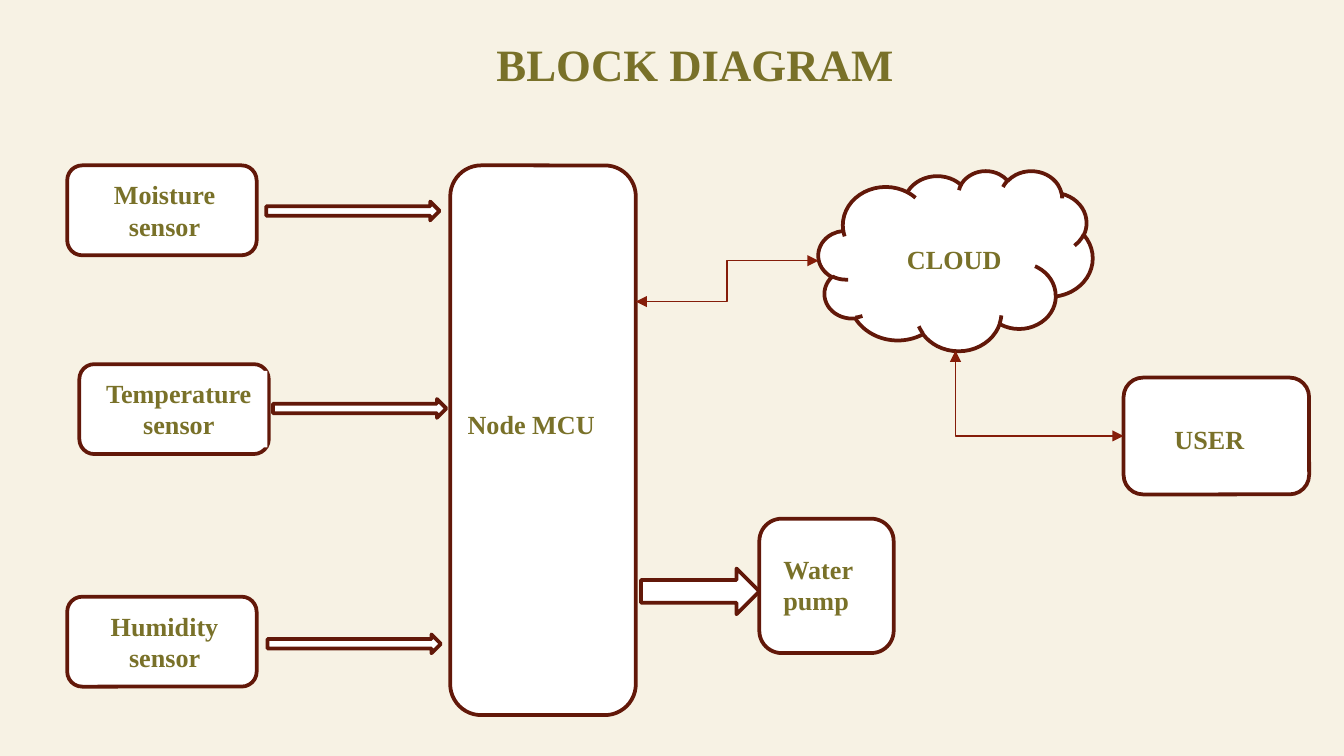
import pptx
import pptx.util
import pptx.dml.color
import pptx.enum.shapes
import pptx.enum.text
import pptx.oxml.ns
from lxml import etree

Pt = pptx.util.Pt
SHAPE = pptx.enum.shapes.MSO_SHAPE
ALIGN = pptx.enum.text.PP_ALIGN
ANCHOR = pptx.enum.text.MSO_ANCHOR
COLORS = {"background": "F7F2E4", "text": "797129", "box": "FFFFFF",
          "outline": "621809", "link": "851D09"}
FONT = "Times New Roman"


def rgb(name):
    return pptx.dml.color.RGBColor.from_string(COLORS[name])


def set_text(sp, text, size, align):
    tf = sp.text_frame
    tf.word_wrap = True
    tf.vertical_anchor = ANCHOR.TOP
    tf.text = text
    for p in tf.paragraphs:
        p.alignment = align
        for r in p.runs:
            r.font.name = FONT
            r.font.size = Pt(size)
            r.font.bold = True
            r.font.color.rgb = rgb("text")


def add_title(s, box, text):
    sp = s.shapes.title
    sp.left, sp.top, sp.width, sp.height = [Pt(v) for v in box]
    set_text(sp, text, 24, ALIGN.CENTER)


def add_outlined(s, kind, box):
    sp = s.shapes.add_shape(kind, *[Pt(v) for v in box])
    sp.shadow.inherit = False
    sp.fill.solid()
    sp.fill.fore_color.rgb = rgb("box")
    sp.line.color.rgb = rgb("outline")
    sp.line.width = Pt(2)
    return sp


def add_block(s, box, label, text, kind=SHAPE.ROUNDED_RECTANGLE,
              align=ALIGN.LEFT, filled=True):
    """Outlined block; the label box is given relative to the block."""
    x, y = box[:2]
    dx, dy, w, h = label
    block = add_outlined(s, kind, box)
    sp = s.shapes.add_textbox(Pt(x + dx), Pt(y + dy), Pt(w), Pt(h))
    if filled:
        sp.fill.solid()
        sp.fill.fore_color.rgb = rgb("box")
    set_text(sp, text, 14, align)
    return block


def add_sensor(s, x, y, text, label_x, label_w, arrow_x, arrow_y):
    """Sensor block with the arrow that leads to the controller."""
    add_block(s, (x, y, 101.5, 48.2), (label_x, 3.6, label_w, 41), text,
              align=ALIGN.CENTER)
    add_outlined(s, SHAPE.RIGHT_ARROW, (x + arrow_x, y + arrow_y, 92.9, 10.1))


def add_link(s, start, end, preset):
    """Elbow line with an arrowhead at both ends."""
    c = s.shapes.add_connector(pptx.enum.shapes.MSO_CONNECTOR.ELBOW,
                               *[Pt(v) for v in start + end])
    c.line.color.rgb = rgb("link")
    c.line.width = Pt(0.75)
    qn = pptx.oxml.ns.qn
    spPr = c._element.spPr
    spPr.find(qn("a:prstGeom")).set("prst", preset)
    ln = spPr.find(qn("a:ln"))
    for tag in ("a:headEnd", "a:tailEnd"):
        etree.SubElement(ln, qn(tag), type="triangle")
    etree.SubElement(spPr, qn("a:effectLst"))
    return c


def main():
    prs = pptx.Presentation()
    prs.slide_width, prs.slide_height = Pt(720), Pt(405)
    s = prs.slides.add_slide(prs.slide_layouts[5])
    s.background.fill.solid()
    s.background.fill.fore_color.rgb = rgb("background")
    add_title(s, (232.6, 15.8, 279.4, 36), "BLOCK DIAGRAM")

    # Sensors
    add_sensor(s, 36, 88.6, "Moisture sensor", 6.5, 91.4, 106.6, 19.4)
    add_sensor(s, 42.5, 195.1, "Temperature\nsensor", 5.8, 95, 103.7, 18.7)
    add_sensor(s, 36, 319.7, "Humidity\nsensor", 10.8, 82.8, 107.3, 20.2)

    # Controller and pump
    add_block(s, (241.2, 88.6, 99.4, 294.5), (2.2, 126.7, 92.9, 24.5),
              "Node MCU")
    add_block(s, (406.8, 277.9, 72, 72), (5.8, 15.1, 64.8, 41), "Water pump")
    add_outlined(s, SHAPE.RIGHT_ARROW, (343.4, 304.6, 63.4, 24.5))

    # Cloud and user
    add_block(s, (438.5, 91.4, 146.9, 96.5), (40.3, 35.3, 73.4, 24.5),
              "CLOUD", kind=SHAPE.CLOUD, filled=False)
    user = add_block(s, (601.9, 202.3, 99.4, 62.6), (20.2, 20.9, 71.3, 24.5),
                     "USER", filled=False)

    # Two-way links
    add_link(s, (340.6, 161.6), (438.5, 139.7), "bentConnector3")
    link = add_link(s, (601.9, 233.6), (511.9, 187.9), "bentConnector2")
    link.begin_connect(user, 1)

    prs.save("out.pptx")


if __name__ == "__main__":
    main()
